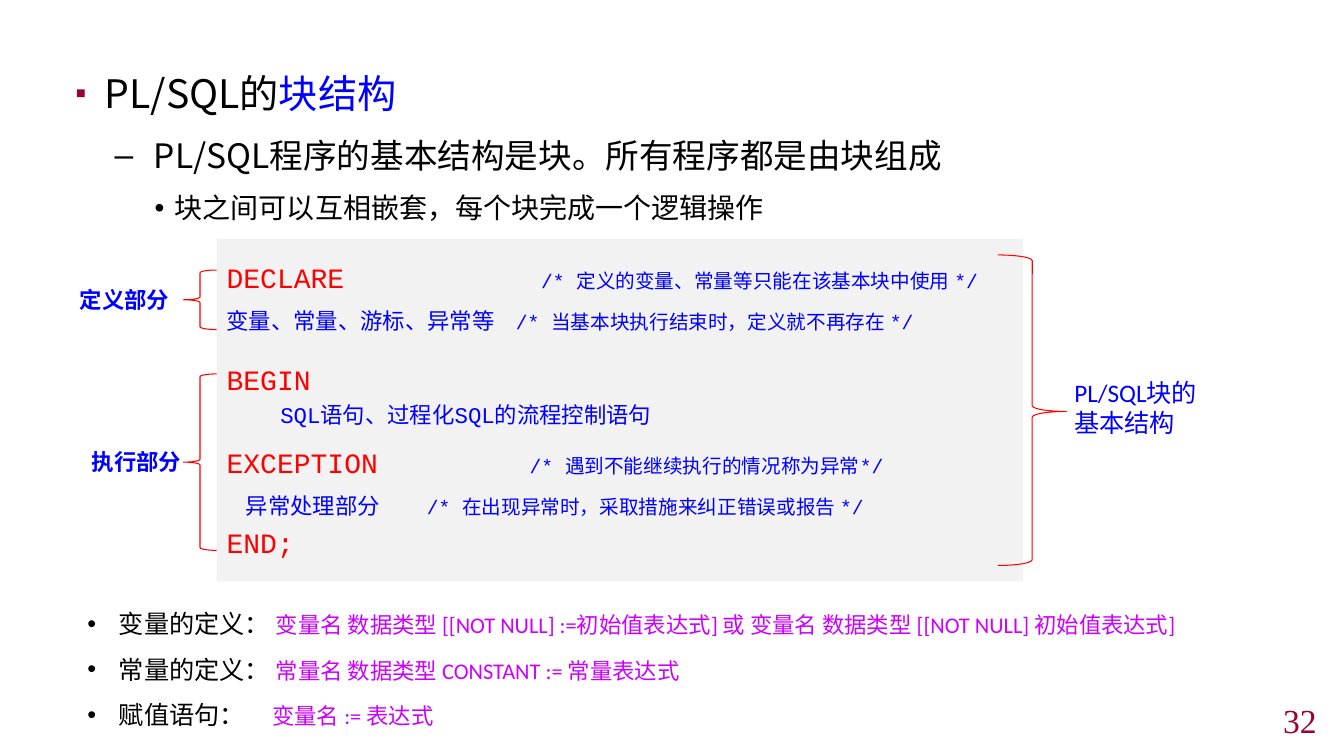
from dataclasses import dataclass
from lxml.etree import SubElement
from pptx import Presentation
from pptx.dml.color import RGBColor
from pptx.enum.shapes import MSO_SHAPE as Shape
from pptx.enum.text import MSO_ANCHOR as Anchor, PP_ALIGN as Align
from pptx.oxml.ns import qn
from pptx.util import Pt


@dataclass(frozen=True)
class Theme:
    black: str = "000000"
    blue: str = "0000FF"
    red: str = "FF0000"
    pink: str = "CC00FF"
    wine: str = "990033"
    gray: str = "F2F2F2"
    head: int = 28
    sub: int = 24
    key: int = 20
    body: int = 18
    code: int = 16
    note: int = 14
    cjk: str = "Noto Sans CJK SC"
    mono: str = "Courier New"
    sans: str = "Calibri"
    serif: str = "Times New Roman"


T = Theme()


def color(code):
    return RGBColor.from_string(code)


def mark(para, char, left, hang, tint, scale):
    """Give a paragraph a bullet with a hanging indent."""
    props = para._p.get_or_add_pPr()
    props.set("marL", str(Pt(left)))
    props.set("indent", str(-Pt(hang)))
    if tint:
        SubElement(SubElement(props, qn("a:buClr")), qn("a:srgbClr"), val=tint)
    SubElement(props, qn("a:buSzPct"), val=str(scale * 1000))
    SubElement(props, qn("a:buFont"), typeface="Arial")
    SubElement(props, qn("a:buChar"), char=char)


def write(frame, runs, font=T.sans, bold=False, align=Align.LEFT, line=1.0,
          before=0, tabs=(), bullet=None, left=0, hang=0, tint=None, scale=100):
    """Add one paragraph; runs are (words, size, colour)."""
    para = frame.paragraphs[0]
    if para.runs:
        para = frame.add_paragraph()
    if bullet:
        mark(para, bullet, left, hang, tint, scale)
    if tabs:
        stops = SubElement(para._p.get_or_add_pPr(), qn("a:tabLst"))
        for stop in tabs:
            SubElement(stops, qn("a:tab"), pos=str(Pt(stop)), algn="l")
    para.alignment, para.line_spacing = align, line
    if before:
        para.space_before = Pt(before)
    for words, size, tone in runs:
        run = para.add_run()
        run.text = words
        run.font.name, run.font.size, run.font.bold = font, Pt(size), bold
        run.font.color.rgb = color(tone)


def frame_at(slide, box, anchor=Anchor.TOP):
    frame = slide.shapes.add_textbox(*map(Pt, box)).text_frame
    frame.word_wrap, frame.vertical_anchor = True, anchor
    return frame


def add_brace(slide, kind, box, adjust=()):
    brace = slide.shapes.add_shape(kind, *map(Pt, box))
    brace.shadow.inherit = False
    brace.fill.background()
    brace.line.color.rgb, brace.line.width = color(T.red), Pt(0.75)
    for spot, value in enumerate(adjust):
        brace.adjustments[spot] = value


def add_intro(slide, box):
    frame = frame_at(slide, box)
    levels = [
        ([("PL/SQL的", T.head, T.black), ("块结构", T.head, T.blue)],
         dict(bullet="▪", left=21, hang=21, tint=T.wine, scale=80)),
        ([("PL/SQL程序的基本结构是块。所有程序都是由块组成", T.sub, T.black)],
         dict(bullet="–", left=56, hang=28, before=4.8)),
        ([("块之间可以互相嵌套，每个块完成一个逻辑操作", T.key, T.black)],
         dict(bullet="•", left=71, hang=14.4, before=4)),
    ]
    for runs, style in levels:
        write(frame, runs, font=T.cjk, line=1.3, **style)


def add_code(slide, box):
    panel = slide.shapes.add_shape(Shape.RECTANGLE, *map(Pt, box))
    panel.shadow.inherit = False
    panel.fill.solid()
    panel.fill.fore_color.rgb = color(T.gray)
    panel.line.fill.background()
    frame = panel.text_frame
    frame.word_wrap, frame.vertical_anchor = True, Anchor.TOP

    def key(words):
        return words, T.key, T.red

    def part(words):
        return words, T.code, T.blue

    def note(words):
        return "\t" + words, T.note, T.blue

    # Runs, line spacing, tab stops, space before
    rows = [
        ([key("DECLARE"), note("/* 定义的变量、常量等只能在该基本块中使用 */")],
         1.5, [224.6], 0),
        ([part("变量、常量、游标、异常等"),
          note("/* 当基本块执行结束时，定义就不再存在 */")], 1.5, [206.6], 0),
        ([key("BEGIN")], 1.2, [], 15.3),
        ([part("\tSQL语句、过程化SQL的流程控制语句")], 1.2, [38.4], 0),
        ([key("EXCEPTION"), note("/* 遇到不能继续执行的情况称为异常*/")],
         1.5, [216.5], 0),
        ([part("\t异常处理部分"),
          note("/* 在出现异常时，采取措施来纠正错误或报告 */")],
         1.5, [13.7, 143], 0),
        ([key("END;")], 1.2, [], 0),
    ]
    for runs, line, tabs, before in rows:
        write(frame, runs, font=T.mono, line=line, tabs=tabs, before=before)

    # Named parts on the left
    x, y, wide, _ = box
    for name, top, high, shift, drop in [("定义部分", 22.3, 42.5, 108, 30.2),
                                         ("执行部分", 96.5, 126, 99.4, 146.2)]:
        add_brace(slide, Shape.LEFT_BRACE, (x - 23.8, y + top, 23.8, high))
        label = frame_at(slide, (x - shift, y + drop, 84.2, 26.6))
        write(label, [(name, T.code, T.blue)], bold=True, align=Align.CENTER)

    # Whole block on the right
    label = frame_at(slide, (x + wide + 29.5, y + 95, 103.7, 51.1))
    write(label, [("PL/SQL块的基本结构", T.body, T.blue)])
    add_brace(slide, Shape.RIGHT_BRACE, (x + wide - 18, y + 11.5, 49, 221.8),
              (0.083, 0.504))


def add_rules(slide, box):
    frame = frame_at(slide, box)
    rules = [
        ("变量的定义： ", "变量名 数据类型 [[NOT NULL] :=初始值表达式] 或 "
         "变量名 数据类型 [[NOT NULL] 初始值表达式]", ()),
        ("常量的定义： ", "常量名 数据类型 CONSTANT := 常量表达式", ()),
        ("赋值语句：\t", "变量名 := 表达式", [132]),
    ]
    for name, form, tabs in rules:
        write(frame, [(name, T.body, T.black), (form, T.code, T.pink)],
              line=1.5, bullet="•", left=22.5, hang=22.5, tabs=tabs)


def add_number(slide, box):
    frame = frame_at(slide, box, Anchor.MIDDLE)
    write(frame, [("32", T.sub, T.wine)], font=T.serif, align=Align.RIGHT)


def main():
    deck = Presentation()
    deck.slide_width, deck.slide_height = Pt(960), Pt(540)
    slide = deck.slides.add_slide(deck.slide_layouts[6])
    add_intro(slide, (46.8, 35.8, 866.9, 130))
    add_code(slide, (154.8, 170.6, 576, 244.8))
    add_rules(slide, (55.4, 420.5, 835.2, 105.1))
    add_number(slide, (743.8, 503.3, 203.8, 22.3))
    deck.save("out.pptx")


if __name__ == "__main__":
    main()
